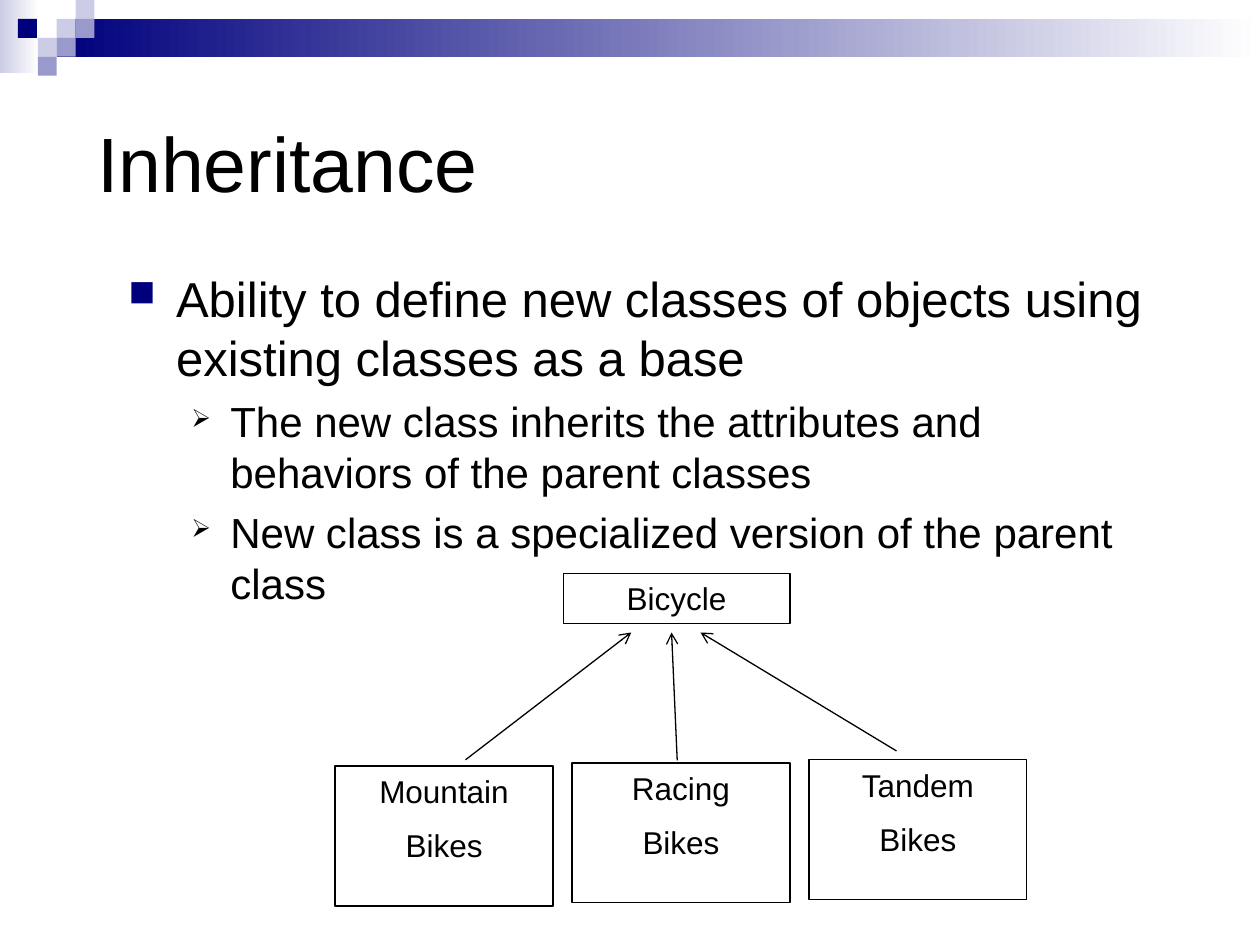
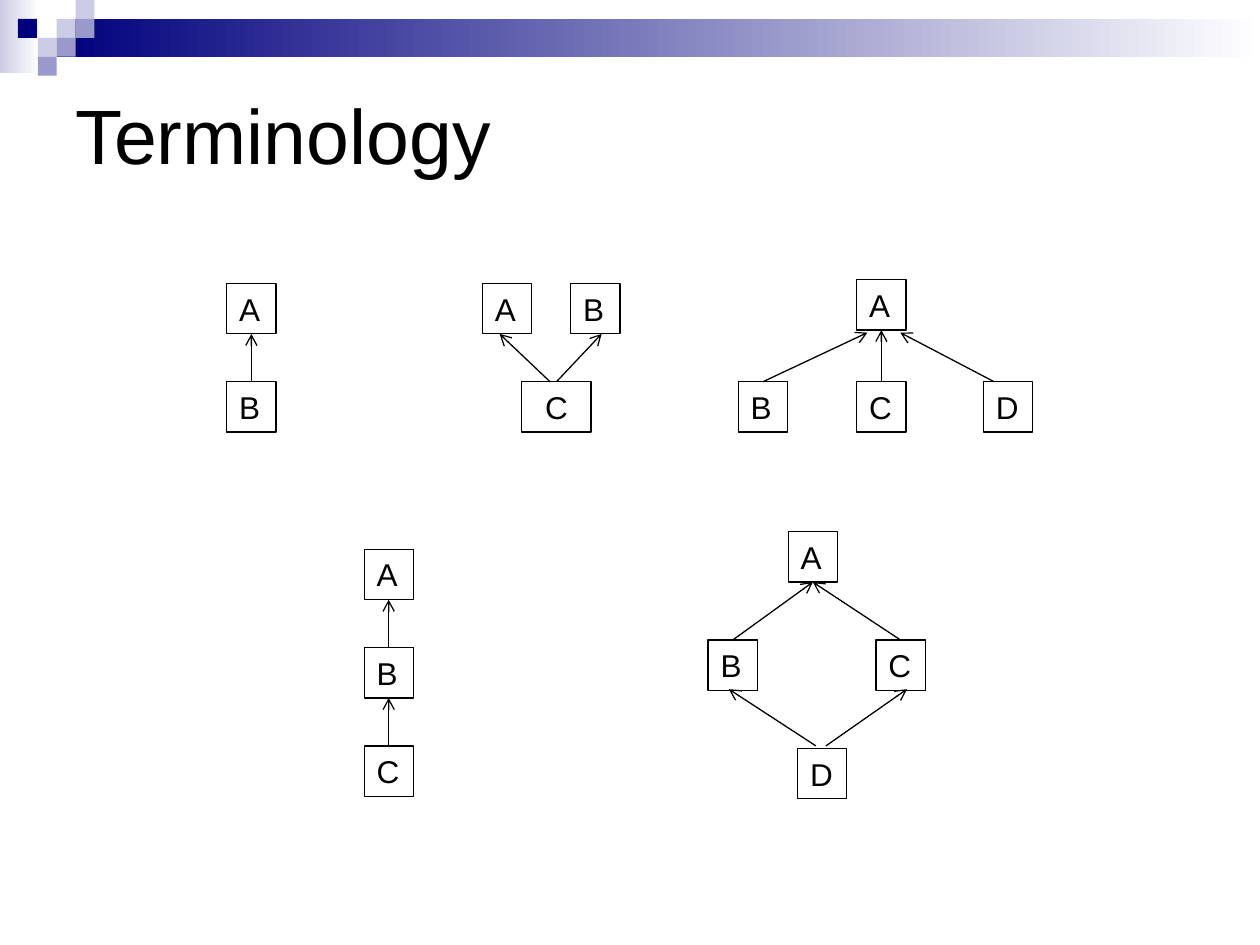
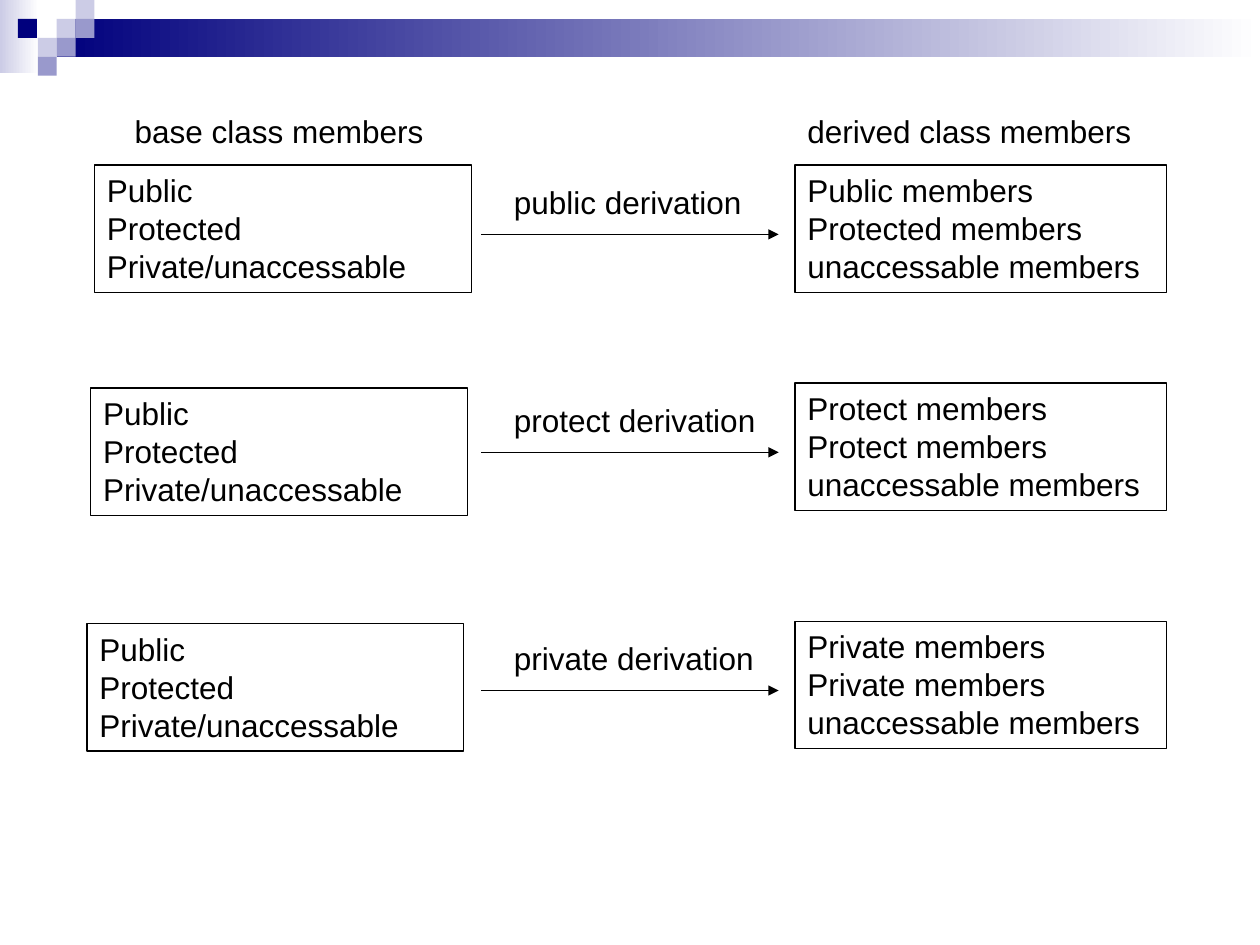
from pptx import Presentation
from pptx.dml.color import RGBColor
from pptx.enum.shapes import MSO_CONNECTOR as CONNECTOR, MSO_SHAPE as SHAPE
from pptx.enum.text import MSO_ANCHOR as ANCHOR, MSO_AUTO_SIZE as AUTO, PP_ALIGN as ALIGN
from pptx.oxml.ns import qn
from pptx.util import Inches, Pt
from lxml.etree import SubElement

COLORS = {"ink": "000000", "navy": "00007D", "mid": "9999CC", "pale": "CCCCE6", "paper": "FFFFFF"}
FONT = "Arial"
SLIDE_W, SLIDE_H = 10, 7.5
TITLE_ONLY, BLANK = 5, 6
BOTTOM, TOP = 2, 0

CELL = 0.15
BANDS = [((0, 0, 0.31, 0.58), "pale"), ((3 * CELL, CELL, SLIDE_W - 3 * CELL, 2 * CELL), "navy")]
SQUARES = [(3, 1, "pale"), (4, 0, "pale"), (4, 1, "mid"), (2, 2, "pale"),
           (0.95, 1, "navy"), (3, 2, "mid"), (2, 3, "mid")]

POINTS = [
    (0, "Ability to define new classes of objects using existing classes as a base"),
    (1, "The new class inherits the attributes and behaviors of the parent classes"),
    (1, "New class is a specialized version of the parent class"),
]
LEVELS = [
    {"size": 28, "left": 0.38, "hang": 0.38, "bullet": "■", "color": "navy", "scale": 75, "before": 0},
    {"size": 24, "left": 0.81, "hang": 0.31, "bullet": "➢", "color": "ink", "scale": 60, "before": 5.7},
]

PARENT = ("Bicycle", (4.47, 4.55, 1.8, 0.4))
CHILDREN = ["Mountain", "Racing", "Tandem"]
CHILD_START, CHILD_STEP, CHILD_SIZE = (2.66, 6.08), (1.88, -0.025), (1.73, 1.11)
BIKE_GAPS = [((0.17, -0.05), (-0.36, 0.07)), ((-0.03, -0.02), (-0.04, 0.07)),
             ((-0.17, -0.07), (0.19, 0.07))]

NODE_W, NODE_H = 0.39, 0.4
JOIN = (0, 0)
DIAGRAMS = [
    {"origin": (1.8, 2.25), "pitch": (1, 0.78),
     "nodes": {"A": (0, 0), "B": (0, 1)},
     "links": [("B", "A", JOIN, JOIN)]},
    {"origin": (3.83, 2.25), "pitch": (0.35, 0.78), "wide": {"C": 0.55},
     "nodes": {"A": (0, 0), "B": (2, 0), "C": (0.89, 1)},
     "links": [("C", "A", (-0.05, 0), (-0.06, 0)), ("C", "B", JOIN, (0.05, 0))]},
    {"origin": (5.86, 2.22), "pitch": (0.94, 0.81),
     "nodes": {"A": (1, 0), "B": (0, 1), "C": (1, 1), "D": (2.07, 1)},
     "links": [("B", "A", JOIN, (-0.11, 0.02)), ("C", "A", JOIN, JOIN),
               ("D", "A", (-0.11, 0), (0.15, 0.02))]},
    {"origin": (2.89, 4.36), "pitch": (1, 0.78),
     "nodes": {"A": (0, 0), "B": (0, 1), "C": (0, 2)},
     "links": [("B", "A", JOIN, JOIN), ("C", "B", JOIN, JOIN)]},
    {"origin": (5.62, 4.22), "pitch": (0.67, 0.86),
     "nodes": {"A": (0.95, 0), "B": (0, 1), "C": (1.99, 1), "D": (1.06, 2)},
     "links": [("B", "A", JOIN, JOIN), ("C", "A", JOIN, JOIN),
               ("D", "B", (-0.05, -0.02), (-0.03, -0.01)),
               ("D", "C", (0.03, -0.02), (0.05, -0.01))]},
]

HEADINGS = [("base class members", (0.97, 0.84, 2.55, 0.4)),
            ("derived class members", (6.31, 0.84, 3.23, 0.4))]
BASE_MEMBERS = ["Public", "Protected", "Private/unaccessable"]
DERIVATIONS = [
    ("public derivation", ["Public members", "Protected members", "unaccessable members"], 1.31, 1.31),
    ("protect derivation", ["Protect members", "Protect members", "unaccessable members"], 3.08, 3.04),
    ("private derivation", ["Private members", "Private members", "unaccessable members"], 4.95, 4.93),
]


def rgb(name):
    return RGBColor.from_string(COLORS[name])


def inches(lengths):
    return [Inches(length) for length in lengths]


def apply(target, settings):
    for key, value in settings.items():
        setattr(target, key, value)


def write(frame, lines, size=18, align=ALIGN.LEFT, anchor=ANCHOR.TOP, gap=0):
    apply(frame, {"word_wrap": True, "auto_size": AUTO.NONE, "vertical_anchor": anchor})
    frame.text = "\n".join(lines)
    for index, paragraph in enumerate(frame.paragraphs):
        apply(paragraph, {"alignment": align, "space_before": Pt(gap if index else 0)})
        apply(paragraph.font, {"name": FONT, "size": Pt(size)})
        paragraph.font.color.rgb = rgb("ink")


def add_title(slide, text, place, anchor):
    title = slide.shapes.title
    apply(title, dict(zip(("left", "top", "width", "height"), inches(place))))
    write(title.text_frame, [text], size=44, anchor=anchor)


def add_label(slide, text, place):
    write(slide.shapes.add_textbox(*inches(place)).text_frame, [text])


def add_box(slide, lines, place, **style):
    box = slide.shapes.add_shape(SHAPE.RECTANGLE, *inches(place))
    box.shadow.inherit = False
    box.fill.background()
    box.line.color.rgb = rgb("ink")
    box.line.width = Pt(0.75)
    write(box.text_frame, lines, **style)
    return box


def add_arrow(slide, start, end, head):
    arrow = slide.shapes.add_connector(CONNECTOR.STRAIGHT, *start, *end)
    arrow.line.color.rgb = rgb("ink")
    arrow.line.width = Pt(0.75)
    properties = arrow.element.spPr
    SubElement(properties.find(qn("a:ln")), qn("a:tailEnd"), type=head)
    SubElement(properties, qn("a:effectLst"))
    return arrow


def link(slide, child, parent, child_gap, parent_gap):
    start = (child.left + child.width // 2 + Inches(child_gap[0]), child.top + Inches(child_gap[1]))
    end = (parent.left + parent.width // 2 + Inches(parent_gap[0]),
           parent.top + parent.height + Inches(parent_gap[1]))
    arrow = add_arrow(slide, start, end, "arrow")
    if child_gap == JOIN:
        arrow.begin_connect(child, TOP)
    if parent_gap == JOIN:
        arrow.end_connect(parent, BOTTOM)


def add_banner(prs, slide):
    banner = slide.shapes.add_group_shape()
    squares = [((col * CELL, row * CELL, CELL, CELL), color) for col, row, color in SQUARES]
    for index, (place, color) in enumerate(BANDS + squares):
        tile = banner.shapes.add_shape(SHAPE.RECTANGLE, *inches(place))
        tile.shadow.inherit = False
        tile.line.fill.background()
        if index < len(BANDS):
            tile.fill.gradient()
            tile.fill.gradient_angle = 0
            for stop, shade in zip(tile.fill.gradient_stops, (color, "paper")):
                stop.color.rgb = rgb(shade)
        else:
            tile.fill.solid()
            tile.fill.fore_color.rgb = rgb(color)
    prs.slide_master.shapes.element.insert(2, banner.element)


def add_points(slide):
    frame = slide.shapes.add_textbox(*inches((0.92, 2.08, 8.5, 4.5))).text_frame
    write(frame, [text for _, text in POINTS])
    for paragraph, (depth, _) in zip(frame.paragraphs, POINTS):
        level = LEVELS[depth]
        apply(paragraph, {"level": depth, "space_before": Pt(level["before"])})
        properties = paragraph._p.get_or_add_pPr()
        properties.set("marL", str(Inches(level["left"])))
        properties.set("indent", str(-Inches(level["hang"])))
        tint = SubElement(properties, qn("a:buClr"))
        SubElement(tint, qn("a:srgbClr"), val=COLORS[level["color"]])
        SubElement(properties, qn("a:buSzPct"), val=str(level["scale"] * 1000))
        SubElement(properties, qn("a:buChar"), char=level["bullet"])
        default = properties.find(qn("a:defRPr"))
        if default is not None:
            properties.append(default)
        paragraph.font.size = Pt(level["size"])


def build_inheritance(slide):
    add_title(slide, "Inheritance", (0.67, 0.53, 9, 1.5), ANCHOR.MIDDLE)
    add_points(slide)
    name, place = PARENT
    parent = add_box(slide, [name], place, align=ALIGN.CENTER)
    for index, (kind, gaps) in enumerate(zip(CHILDREN, BIKE_GAPS)):
        corner = [start + index * step for start, step in zip(CHILD_START, CHILD_STEP)]
        child = add_box(slide, [kind, "Bikes"], (*corner, *CHILD_SIZE), align=ALIGN.CENTER, gap=9)
        link(slide, child, parent, *gaps)


def build_terminology(slide):
    add_title(slide, "Terminology", (0.5, 0.5, 9, 0.98), ANCHOR.BOTTOM)
    for diagram in DIAGRAMS:
        wide = diagram.get("wide", {})
        boxes = {}
        for name, cell in diagram["nodes"].items():
            corner = [start + step * count for start, step, count
                      in zip(diagram["origin"], diagram["pitch"], cell)]
            boxes[name] = add_box(slide, [name], (*corner, wide.get(name, NODE_W), NODE_H),
                                  align=ALIGN.CENTER if name in wide else ALIGN.LEFT)
        for child, parent, *gaps in diagram["links"]:
            link(slide, boxes[child], boxes[parent], *gaps)


def build_derivation(slide):
    for text, place in HEADINGS:
        add_label(slide, text, place)
    for index, (label, members, base_top, top) in enumerate(DERIVATIONS):
        add_box(slide, BASE_MEMBERS, (0.75 - 0.03 * index, base_top, 2.99, 1.01))
        add_box(slide, members, (6.31, top, 2.95, 1.01))
        add_label(slide, label, (3.98, top + 0.09, 2.2, 0.4))
        add_arrow(slide, inches((3.82, top + 0.55)), inches((6.18, top + 0.55)), "triangle")


def main():
    prs = Presentation()
    apply(prs, {"slide_width": Inches(SLIDE_W), "slide_height": Inches(SLIDE_H)})
    pages = [(TITLE_ONLY, build_inheritance), (TITLE_ONLY, build_terminology), (BLANK, build_derivation)]
    for index, (layout, build) in enumerate(pages):
        slide = prs.slides.add_slide(prs.slide_layouts[layout])
        if index == 0:
            add_banner(prs, slide)
        build(slide)
    prs.save("out.pptx")


if __name__ == "__main__":
    main()
